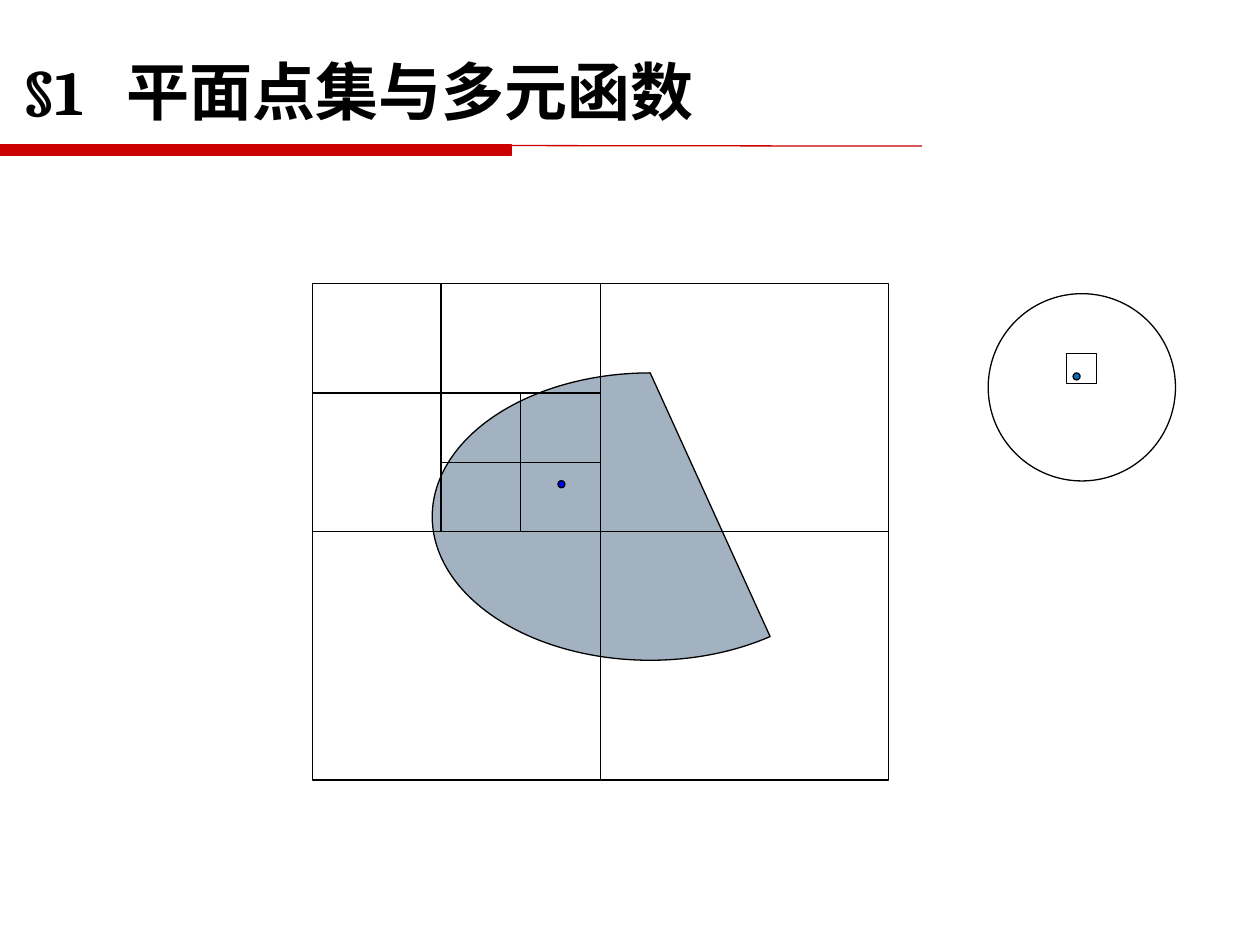
from dataclasses import dataclass

from lxml import etree
from pptx import Presentation
from pptx.dml.color import RGBColor
from pptx.enum import shapes, text
from pptx.oxml.ns import qn
from pptx.util import Pt


@dataclass(frozen=True)
class Theme:
    red: str = "CC0000"
    ink: str = "000000"
    region: str = "A3B2C1"
    inner_point: str = "0000FF"
    disc_point: str = "0070C0"
    font: str = "Cambria"
    title_size: float = 36
    line_width: float = 0.75


THEME = Theme()
KIND = shapes.MSO_SHAPE

# Content: all lengths in points
TITLE = "§1\t平面点集与多元函数"
TITLE_BOX = (5, 9.4, 415.5, 68.4)
TITLE_TAB = 60

LEFT, TOP, RIGHT, BOTTOM = 178.5, 162, 507.6, 445.7
MIDDLE_X, MIDDLE_Y = (LEFT + RIGHT) / 2, (TOP + BOTTOM) / 2
QUARTER_X, QUARTER_Y = 252, 224.6      # second subdivision
EIGHTH_X, EIGHTH_Y = (QUARTER_X + MIDDLE_X) / 2, (QUARTER_Y + MIDDLE_Y) / 2

# Each subdivision: cell being split, then where it is split
SUBDIVISIONS = [
    ((LEFT, TOP, RIGHT, BOTTOM), (MIDDLE_X, MIDDLE_Y)),
    ((LEFT, TOP, MIDDLE_X, MIDDLE_Y), (QUARTER_X, QUARTER_Y)),
    ((QUARTER_X, QUARTER_Y, MIDDLE_X, MIDDLE_Y), (EIGHTH_X, EIGHTH_Y)),
]

RED_BAR = (KIND.RECTANGLE, (0, 82.8, 292.3, 5.8), THEME.red, THEME.red)
RED_RULE = (0, 82.8, 527, 83.5)
REGION = (KIND.CHORD, (247, 213.1, 249.1, 164.2), THEME.region, THEME.ink)
OUTER_SQUARE = (KIND.RECTANGLE, (LEFT, TOP, RIGHT - LEFT, BOTTOM - TOP),
                None, THEME.ink)
POINTS_AND_DISC = [
    (KIND.OVAL, (318.8, 274.7, 4, 4), THEME.inner_point, THEME.ink),
    (KIND.OVAL, (613.2, 213.1, 4, 4), THEME.disc_point, THEME.ink),
    (KIND.OVAL, (564.7, 167.8, 107, 107), None, THEME.ink),
    (KIND.RECTANGLE, (609.3, 202, 17.2, 17), None, THEME.ink),
]


def set_line(line, color):
    line.color.rgb = RGBColor.from_string(color)
    line.width = Pt(THEME.line_width)


def add_figure(slide, kind, box, fill, outline):
    shape = slide.shapes.add_shape(kind, *map(Pt, box))
    shape.shadow.inherit = False
    if fill:
        shape.fill.solid()
        shape.fill.fore_color.rgb = RGBColor.from_string(fill)
    else:
        shape.fill.background()
    set_line(shape.line, outline)


def add_line(slide, ends, color):
    connector = slide.shapes.add_connector(
        shapes.MSO_CONNECTOR.STRAIGHT, *map(Pt, ends))
    set_line(connector.line, color)
    properties = connector._element.spPr
    etree.SubElement(properties, qn("a:effectLst"))


def add_title(slide):
    title = slide.shapes.title
    title.left, title.top, title.width, title.height = map(Pt, TITLE_BOX)
    frame = title.text_frame
    frame.text = TITLE
    frame.word_wrap = True
    frame.auto_size = text.MSO_AUTO_SIZE.NONE
    frame.vertical_anchor = text.MSO_ANCHOR.TOP
    paragraph = frame.paragraphs[0]
    # Tab stop between section number and heading
    tabs = etree.SubElement(paragraph._p.get_or_add_pPr(), qn("a:tabLst"))
    etree.SubElement(tabs, qn("a:tab"), pos=str(Pt(TITLE_TAB)), algn="l")
    paragraph.alignment = text.PP_ALIGN.LEFT
    paragraph.line_spacing = 1.4
    paragraph.space_before = Pt(0)
    font = paragraph.font
    font.name, font.size, font.bold = THEME.font, Pt(THEME.title_size), True
    font.color.rgb = RGBColor.from_string(THEME.ink)


def main():
    presentation = Presentation()
    presentation.slide_width, presentation.slide_height = Pt(720), Pt(540)
    slide = presentation.slides.add_slide(presentation.slide_layouts[5])

    # Heading with its red rule
    add_figure(slide, *RED_BAR)
    add_line(slide, RED_RULE, THEME.red)
    add_title(slide)

    # Region inside the repeatedly divided square
    add_figure(slide, *REGION)
    add_figure(slide, *OUTER_SQUARE)
    for (left, top, right, bottom), (x, y) in SUBDIVISIONS:
        add_line(slide, (left, y, right, y), THEME.ink)
        add_line(slide, (x, top, x, bottom), THEME.ink)

    # Limit point and its neighbourhood
    for figure in POINTS_AND_DISC:
        add_figure(slide, *figure)

    presentation.save("out.pptx")


if __name__ == "__main__":
    main()
